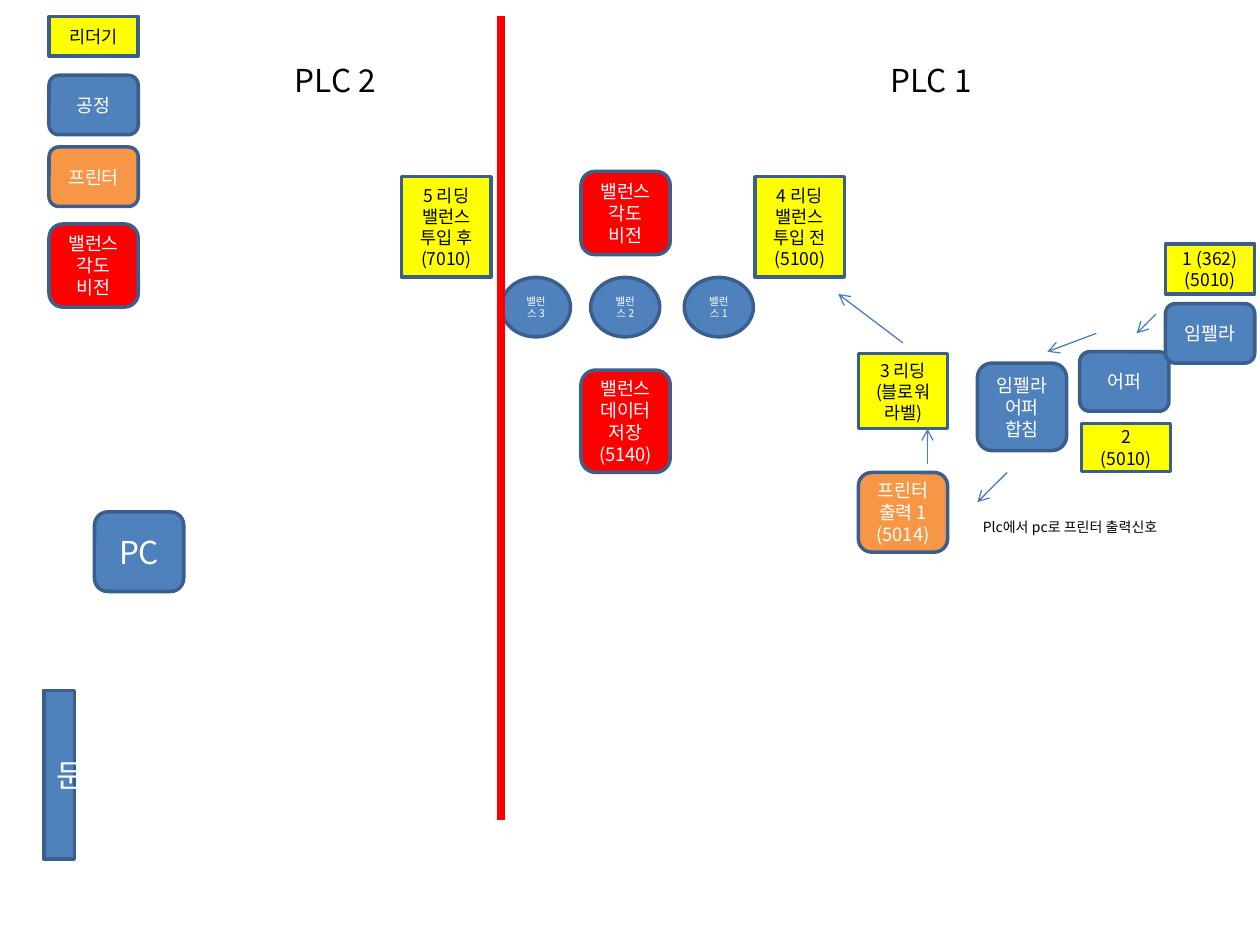
from copy import deepcopy
from dataclasses import dataclass

from lxml.etree import SubElement
from pptx import Presentation
from pptx.dml.color import RGBColor
from pptx.enum.shapes import MSO_CONNECTOR as Connector, MSO_SHAPE as Shape
from pptx.enum.text import MSO_ANCHOR as Anchor, MSO_AUTO_SIZE as AutoSize, PP_ALIGN as Align
from pptx.oxml.ns import qn
from pptx.util import Pt


@dataclass(frozen=True)
class Theme:
    font: str = "Noto Sans CJK KR"
    blue: str = "4F81BD"
    outline: str = "3A5F8C"
    arrow: str = "4B7EBC"
    yellow: str = "FFFF00"
    orange: str = "F79646"
    red: str = "FF0000"
    white: str = "FFFFFF"
    black: str = "000000"
    heading: float = 18
    station: float = 10.5
    reader: float = 10
    note: float = 8
    balance: float = 6


THEME = Theme()
BOX_WIDTH = 51

# Each kind of station: preset shape, fill, text colour, text size
READER = (Shape.RECTANGLE, THEME.yellow, THEME.black, THEME.reader)
PROCESS = (Shape.ROUNDED_RECTANGLE, THEME.blue, THEME.white, THEME.station)
PRINTER = (Shape.ROUNDED_RECTANGLE, THEME.orange, THEME.white, THEME.station)
VISION = (Shape.ROUNDED_RECTANGLE, THEME.red, THEME.white, THEME.station)
BALANCE = (Shape.OVAL, THEME.blue, THEME.white, THEME.balance)
COMPUTER = (Shape.ROUNDED_RECTANGLE, THEME.blue, THEME.white, THEME.heading)
DOOR = (Shape.RECTANGLE, THEME.blue, THEME.white, THEME.heading)

# Kind, text, left, top, width, height, from back to front
STATIONS = [
    (PROCESS, "어퍼", 617, 201, BOX_WIDTH, 34),
    (DOOR, "문", 25, 394.5, 17.5, 96.5),
    (COMPUTER, "PC", 54, 292.5, BOX_WIDTH, 45.5),
    (PROCESS, "임펠라", 666, 173.5, BOX_WIDTH, 34),
    (READER, "2\n(5010)", 618, 242, BOX_WIDTH, 27.5),
    (READER, "1 (362)\n(5010)", 666, 139.5, BOX_WIDTH, 28.5),
    (PROCESS, "임펠라\v어퍼\n합침", 558.5, 207.5, BOX_WIDTH, 50),
    (PRINTER, "프린터 출력 1\n(5014)", 490.5, 270, BOX_WIDTH, 45.5),
    (READER, "3 리딩\v(블로워라벨)", 490.5, 202, BOX_WIDTH, 43),
    (READER, "4 리딩\v밸런스 투입 전\n(5100)", 431.5, 101, BOX_WIDTH, 57.5),
    (READER, "5 리딩\v밸런스 투입 후\n(7010)", 229.5, 101, BOX_WIDTH, 57.5),
    (VISION, "밸런스 각도\n비전", 332, 98, BOX_WIDTH, 47.5),
    (VISION, "밸런스 데이터저장\n(5140)", 332, 211.5, BOX_WIDTH, 58.5),
]
LEGEND = [
    (READER, "리더기", 9.4, 22.5),
    (PROCESS, "공정", 43, 34),
    (PRINTER, "프린터", 84, 34),
    (VISION, "밸런스 각도\n비전", 128, 47.5),
]
BALANCE_LEFTS = {1: 391, 2: 337.5, 3: 286.5}
FLOW = [
    ((660.5, 179.5), (649.5, 190.5)),
    ((626.5, 190.5), (598.5, 201)),
    ((530, 265), (530, 245)),
    ((516, 196), (479, 168)),
    ((575.5, 270), (558.5, 287)),
]


def write(shape, text, *, size, color, align=Align.LEFT, anchor=Anchor.TOP, wrap=True):
    frame = shape.text_frame
    frame.text = text
    frame.word_wrap = wrap
    frame.vertical_anchor = anchor
    for paragraph in frame.paragraphs:
        paragraph.alignment = align
        for run in paragraph.runs:
            run.font.name = THEME.font
            run.font.size = Pt(size)
            run.font.color.rgb = RGBColor.from_string(color)
            properties = run.font._element if hasattr(run.font, "_element") else run._r.rPr
            SubElement(properties, qn("a:ea"), typeface=THEME.font)
        for line_break in paragraph._p.findall(qn("a:br")):
            line_break.append(deepcopy(paragraph.runs[0]._r.rPr))


def add_station(slide, kind, text, left, top, width, height):
    preset, fill, color, size = kind
    station = slide.shapes.add_shape(preset, Pt(left), Pt(top), Pt(width), Pt(height))
    station.shadow.inherit = False
    station.fill.solid()
    station.fill.fore_color.rgb = RGBColor.from_string(fill)
    station.line.color.rgb = RGBColor.from_string(THEME.outline)
    station.line.width = Pt(2)
    write(station, text, size=size, color=color, align=Align.CENTER, anchor=Anchor.MIDDLE)


def add_line(slide, start, end, color, weight, arrow=False):
    line = slide.shapes.add_connector(Connector.STRAIGHT, *map(Pt, start + end))
    line.line.color.rgb = RGBColor.from_string(color)
    line.line.width = Pt(weight)
    if arrow:
        SubElement(line.line._get_or_add_ln(), qn("a:tailEnd"), type="arrow")
    SubElement(line._element.spPr, qn("a:effectLst"))


def add_label(slide, text, left, top, width, height, size, wrap=False):
    label = slide.shapes.add_textbox(Pt(left), Pt(top), Pt(width), Pt(height))
    write(label, text, size=size, color=THEME.black, wrap=wrap)
    label.text_frame.auto_size = AutoSize.SHAPE_TO_FIT_TEXT


def main():
    deck = Presentation()
    deck.slide_width, deck.slide_height = Pt(720), Pt(540)
    slide = deck.slides.add_slide(deck.slide_layouts[6])

    for station in STATIONS:
        add_station(slide, *station)
    for kind, text, top, height in LEGEND:
        add_station(slide, kind, text, 28, top, BOX_WIDTH, height)
    for number, left in BALANCE_LEFTS.items():
        add_station(slide, BALANCE, f"밸런스 {number}", left, 158.5, 39.5, 34)
    for start, end in FLOW:
        add_line(slide, start, end, THEME.arrow, 0.75, arrow=True)

    add_line(slide, (286.5, 9.4), (286.5, 468.5), THEME.red, 4.5)
    add_label(slide, "Plc에서 pc로 프린터 출력신호", 554.5, 292.5, 144.5, 17, THEME.note, wrap=True)
    for plc, left in (("PLC 1", 502), ("PLC 2", 161.5)):
        add_label(slide, plc, left, 31.5, 61, 29, THEME.heading)

    deck.save("out.pptx")


if __name__ == "__main__":
    main()
